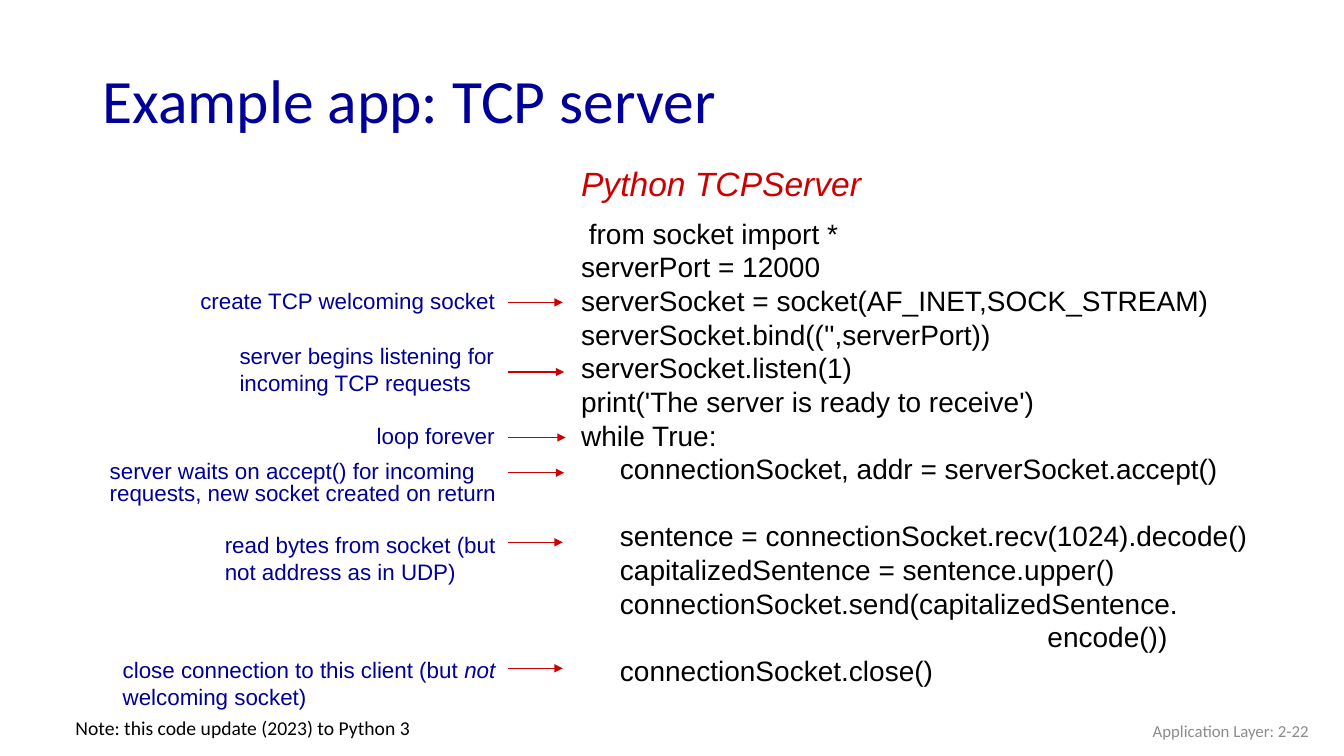
from lxml import etree
from pptx import Presentation
from pptx import util as u
from pptx.dml import color
from pptx.enum import shapes, text
from pptx.oxml import ns

NAVY, RED, BLACK, GRAY = "000099", "CC0000", "000000", "8C8C8C"
rgb = color.RGBColor.from_string


def style(font, colour, **values):
    font.color.rgb = rgb(colour)
    for key, value in values.items():
        setattr(font, key, value)


def add_text(box, lines, colour, wrap=True, **values):
    """Add a text box; | switches italics on and off within a line."""
    frame = slide.shapes.add_textbox(*map(u.Pt, box)).text_frame
    frame.word_wrap = wrap
    frame.auto_size = text.MSO_AUTO_SIZE.SHAPE_TO_FIT_TEXT
    for number, line in enumerate(lines):
        paragraph = frame.add_paragraph() if number else frame.paragraphs[0]
        for part, words in enumerate(line.split("|")):
            run = paragraph.add_run()
            run.text = words
            style(run.font, colour, **values)
            if part % 2:
                run.font.italic = True
    return frame


deck = Presentation()
deck.slide_width, deck.slide_height = u.Pt(960), u.Pt(540)
slide = deck.slides.add_slide(deck.slide_layouts[5])

# Title
title = slide.shapes.title
title.left, title.top, title.width, title.height = map(u.Pt, (66, 35.5, 828, 70.5))
title.text_frame.text = "Example app: TCP server"
title.text_frame.vertical_anchor = text.MSO_ANCHOR.MIDDLE
heading = title.text_frame.paragraphs[0]
heading.alignment = text.PP_ALIGN.LEFT
style(heading.runs[0].font, NAVY, name="Calibri", size=u.Pt(44))

# Program listing
program = [
    " from socket import *",
    "serverPort = 12000",
    "serverSocket = socket(AF_INET,SOCK_STREAM)",
    "serverSocket.bind(('',serverPort))",
    "serverSocket.listen(1)",
    "print('The server is ready to receive')",
    "while True:",
    "     connectionSocket, addr = serverSocket.accept()",
    "     sentence = connectionSocket.recv(1024).decode()",
    "     capitalizedSentence = sentence.upper()",
    "     connectionSocket.send(capitalizedSentence.",
    "                                                            encode())",
    "     connectionSocket.close()",
]
listing = add_text((408, 151, 494, 346), program, BLACK, wrap=False,
                   name="Arial", size=u.Pt(20))
listing.paragraphs[8].space_before = u.Pt(24)  # gap after accept()
add_text((408, 113, 222.5, 36.5), ["Python TCPServer"], RED, wrap=False,
         name="Arial", size=u.Pt(24), italic=True)

# Explanations: box, line spacing, arrow height, arrow end, words
explanations = [
    ((136, 201.5, 241, 26.5), None, 216, 402, "create TCP welcoming socket"),
    ((164, 241, 226, 46), None, 265.7, 403,
     "server begins listening for incoming TCP requests"),
    ((262, 301, 146, 24), 16, 312.5, 404, "loop forever"),
    ((71.3, 326, 336.2, 39.5), 16, 337.7, 403,
     "server waits on accept() for incoming requests, new socket created on return"),
    ((153.5, 376, 216, 46), None, 387.4, 402,
     "read bytes from socket (but not address as in UDP)"),
    ((80.6, 465, 307.5, 46), None, 477.4, 402,
     "close connection to this client (but |not| welcoming socket)"),
]
for box, spacing, arrow_y, arrow_end, words in explanations:
    explanation = add_text(box, [words], NAVY, name="Arial", size=u.Pt(16))
    if spacing:
        explanation.paragraphs[0].line_spacing = u.Pt(spacing)
    arrow = slide.shapes.add_connector(
        shapes.MSO_CONNECTOR.STRAIGHT,
        *map(u.Pt, (363, arrow_y, arrow_end, arrow_y)))
    arrow.line.color.rgb = rgb(RED)
    arrow.line.width = u.Pt(1)
    etree.SubElement(arrow.line._get_or_add_ln(), ns.qn("a:tailEnd"), type="triangle")
    etree.SubElement(arrow._element.spPr, ns.qn("a:effectLst"))

# Page label and version note
page_label = add_text((726, 507.5, 216, 29), ["Application Layer: 2-22"], GRAY,
                      name="Calibri", size=u.Pt(12))
page_label.auto_size = text.MSO_AUTO_SIZE.NONE
page_label.vertical_anchor = text.MSO_ANCHOR.MIDDLE
page_label.paragraphs[0].alignment = text.PP_ALIGN.RIGHT
add_text((46.8, 507.5, 256.5, 24.5), ["Note: this code update (2023) to Python 3"], BLACK,
         wrap=False, name="Calibri", size=u.Pt(14))

deck.save("out.pptx")
